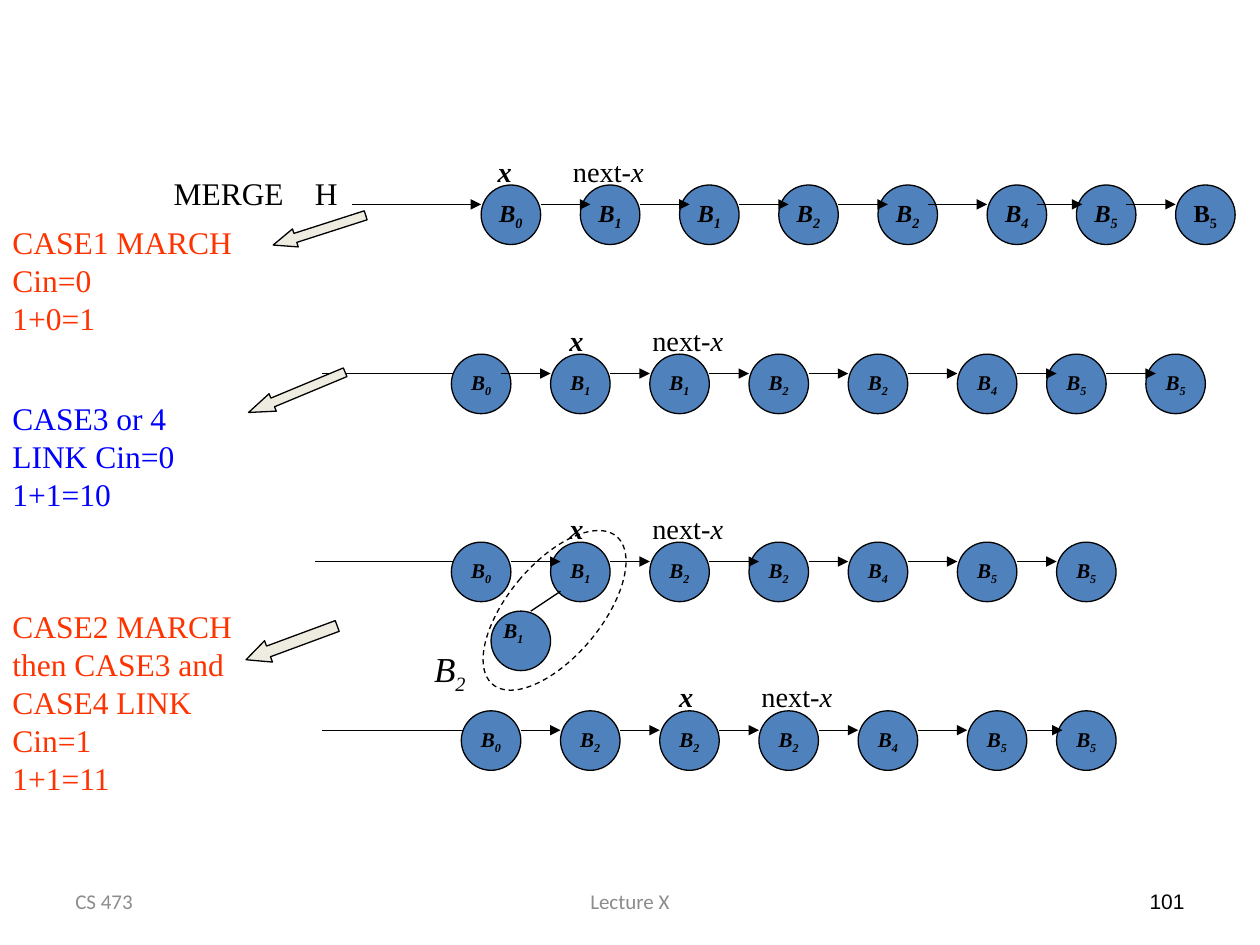
from lxml.etree import SubElement
from pptx import Presentation
from pptx.dml.color import RGBColor
from pptx.enum.dml import MSO_LINE_DASH_STYLE as DASH
from pptx.enum.shapes import MSO_CONNECTOR as CONNECTOR, MSO_SHAPE as SHAPE
from pptx.enum.text import MSO_ANCHOR as ANCHOR, PP_ALIGN as ALIGN
from pptx.oxml.ns import qn
from pptx.util import Cm, Pt

COLORS = {
    "black": "000000",
    "gray": "8C8C8C",
    "node": "4F81BD",
    "arrow": "EEECE1",
    "red": "FF3300",
    "blue": "0000FF",
}
NODE_SIZE = 1.2


def write(frame, *runs, size=12, font="Times New Roman", color="black",
          bold=False, align=ALIGN.LEFT, anchor=ANCHOR.TOP, wrap=True):
    frame.word_wrap = wrap
    frame.vertical_anchor = anchor
    paragraph = frame.paragraphs[0]
    paragraph.alignment = align
    for text, italic, baseline in runs:
        for index, line in enumerate(text.split("\n")):
            if index:
                paragraph.add_line_break()
            run = paragraph.add_run()
            run.text = line
            run.font.size = Pt(size)
            run.font.name = font
            run.font.bold = bold
            run.font.italic = italic
            run.font.color.rgb = RGBColor.from_string(COLORS[color])
            if baseline:
                run.font._element.set("baseline", str(baseline * 1000))


def add_line(x1, y1, x2, y2, arrow=True):
    line = slide.shapes.add_connector(CONNECTOR.STRAIGHT, Cm(x1), Cm(y1), Cm(x2), Cm(y2))
    line.line.color.rgb = RGBColor.from_string(COLORS["black"])
    line.line.width = Pt(0.75)
    if arrow:
        SubElement(line.line._get_or_add_ln(), qn("a:tailEnd"), type="triangle")
    SubElement(line._element.spPr, qn("a:effectLst"))


presentation = Presentation()
presentation.slide_width = Cm(25.4)
presentation.slide_height = Cm(19.05)
slide = presentation.slides.add_slide(presentation.slide_layouts[6])
shapes = slide.shapes

footers = [
    ("CS 473", 1.27, 5.93, "Calibri", "gray", ALIGN.LEFT),
    ("Lecture X", 8.68, 8.04, "Calibri", "gray", ALIGN.CENTER),
    ("101", 18.2, 5.93, "Arial", "black", ALIGN.RIGHT),
]
for text, left, width, font, color, align in footers:
    box = shapes.add_textbox(Cm(left), Cm(17.66), Cm(width), Cm(1.01))
    write(box.text_frame, (text, False, 0), font=font, color=color,
          align=align, anchor=ANCHOR.MIDDLE)

heaps = [
    {"top": 3.73, "size": 14, "degrees": "01122455", "next": 11.3, "x": 9.78,
     "nodes": [9.7, 11.7, 13.7, 15.7, 17.7, 19.9, 21.7, 23.7],
     "links": [(7.1, 9.7), (10.9, 11.9), (12.9, 13.9), (14.9, 15.9), (16.9, 17.9),
               (18.7, 19.9), (20.9, 21.82), (22.7, 23.7)]},
    {"top": 7.14, "size": 12, "degrees": "01122455", "next": 12.9, "x": 11.23,
     "nodes": [9.1, 11.1, 13.1, 15.1, 17.1, 19.3, 21.1, 23.1],
     "links": [(6.5, 10), (10.1, 11.1), (12.3, 13.1), (14.3, 15.1), (16.3, 17.1),
               (18.3, 19.3), (20.5, 21.3), (22.3, 23.3)]},
    {"top": 10.93, "size": 12, "degrees": "0122455", "next": 12.9, "x": 11.23,
     "nodes": [9.1, 11.1, 13.1, 15.1, 17.1, 19.3, 21.3],
     "links": [(6.35, 9.88), (10.3, 11.3), (12.3, 13.1), (14.3, 15.3), (16.3, 17.1),
               (18.3, 19.3), (20.5, 21.3)]},
    {"top": 14.33, "size": 12, "degrees": "0222455", "next": 15.1, "x": 13.44,
     "nodes": [9.3, 11.3, 13.3, 15.3, 17.3, 19.5, 21.3],
     "links": [(6.5, 10.4), (10.5, 11.3), (12.5, 13.3), (14.5, 15.3), (16.5, 17.3),
               (18.5, 19.5), (20.7, 21.42)]},
]
heaps[2]["degrees"] = "0122455".replace("22455", "22455")
nodes = [(left, heap["top"], degree, heap["size"], (heap["top"], left) != (3.73, 23.7))
         for heap in heaps for left, degree in zip(heap["nodes"], heap["degrees"])]
nodes.append((9.9, 12.32, "", 12, True))

for heap in heaps:
    start, end = heap["links"][0]
    add_line(start, heap["top"] + 0.39, end, heap["top"] + 0.39)

for left, top, degree, size, italic in nodes:
    node = shapes.add_shape(SHAPE.OVAL, Cm(left), Cm(top), Cm(NODE_SIZE), Cm(NODE_SIZE))
    node.shadow.inherit = False
    node.fill.solid()
    node.fill.fore_color.rgb = RGBColor.from_string(COLORS["node"])
    node.line.color.rgb = RGBColor.from_string(COLORS["black"])
    node.line.width = Pt(0.75)
    if degree:
        write(node.text_frame, ("B", italic, 0), (degree, italic, -25), size=size,
              bold=True, align=ALIGN.CENTER, anchor=ANCHOR.MIDDLE, wrap=False)

for heap in heaps:
    top = heap["top"]
    for start, end in heap["links"][1:]:
        add_line(start, top + 0.39, end, top + 0.39)
    box = shapes.add_textbox(Cm(heap["next"]), Cm(top - 1.42), Cm(2.4), Cm(1.07))
    write(box.text_frame, ("next-", False, -25), ("x", True, -25), size=28)
    box = shapes.add_textbox(Cm(heap["x"]), Cm(top - 1.42), Cm(1.2), Cm(1.07))
    write(box.text_frame, ("x", True, -25), size=28, bold=True)

add_line(10.7, 12.32, 11.3, 11.92, arrow=False)

child_label = shapes.add_textbox(Cm(9.9), Cm(12.32), Cm(1.6), Cm(0.76))
write(child_label.text_frame, ("B", True, 0), ("1", True, -25), bold=True)
tree_label = shapes.add_textbox(Cm(8.5), Cm(12.93), Cm(1.4), Cm(1.09))
write(tree_label.text_frame, ("B", True, 0), ("2", True, -25), size=20)

outline = shapes.add_shape(SHAPE.OVAL, Cm(10.24), Cm(10.36), Cm(1.88), Cm(3.89))
outline.rotation = 39.9
outline.shadow.inherit = False
outline.fill.background()
outline.line.color.rgb = RGBColor.from_string(COLORS["black"])
outline.line.width = Pt(0.75)
outline.line.dash_style = DASH.DASH

case_arrows = [
    (5.46, 4.45, 1.96, 0.38, 342.2, 1.24),
    (4.93, 7.72, 2.11, 0.38, 337.4, 1.39),
    (4.9, 12.73, 1.96, 0.46, 339.7, 1.05),
]
for left, top, width, height, rotation, head in case_arrows:
    arrow = shapes.add_shape(SHAPE.LEFT_ARROW, Cm(left), Cm(top), Cm(width), Cm(height))
    arrow.adjustments[1] = head
    arrow.rotation = rotation
    arrow.shadow.inherit = False
    arrow.fill.solid()
    arrow.fill.fore_color.rgb = RGBColor.from_string(COLORS["arrow"])
    arrow.line.color.rgb = RGBColor.from_string(COLORS["black"])
    arrow.line.width = Pt(0.75)

captions = [
    ("MERGE", 3.25, 3.38, 2.8, 1.02, "black"),
    ("H", 6.1, 3.38, 1.2, 1.02, "black"),
    ("CASE1 MARCH\nCin=0\n1+0=1", 0, 4.37, 5.41, 2.57, "red"),
    ("CASE3 or 4\nLINK Cin=0\n1+1=10", 0, 7.92, 4.6, 2.54, "blue"),
    ("CASE2 MARCH\nthen CASE3 and\nCASE4 LINK\nCin=1\n1+1=11", 0, 12.12, 5, 4.11, "red"),
]
for text, left, top, width, height, color in captions:
    box = shapes.add_textbox(Cm(left), Cm(top), Cm(width), Cm(height))
    write(box.text_frame, (text, False, 0), size=18, color=color)

presentation.save("out.pptx")
